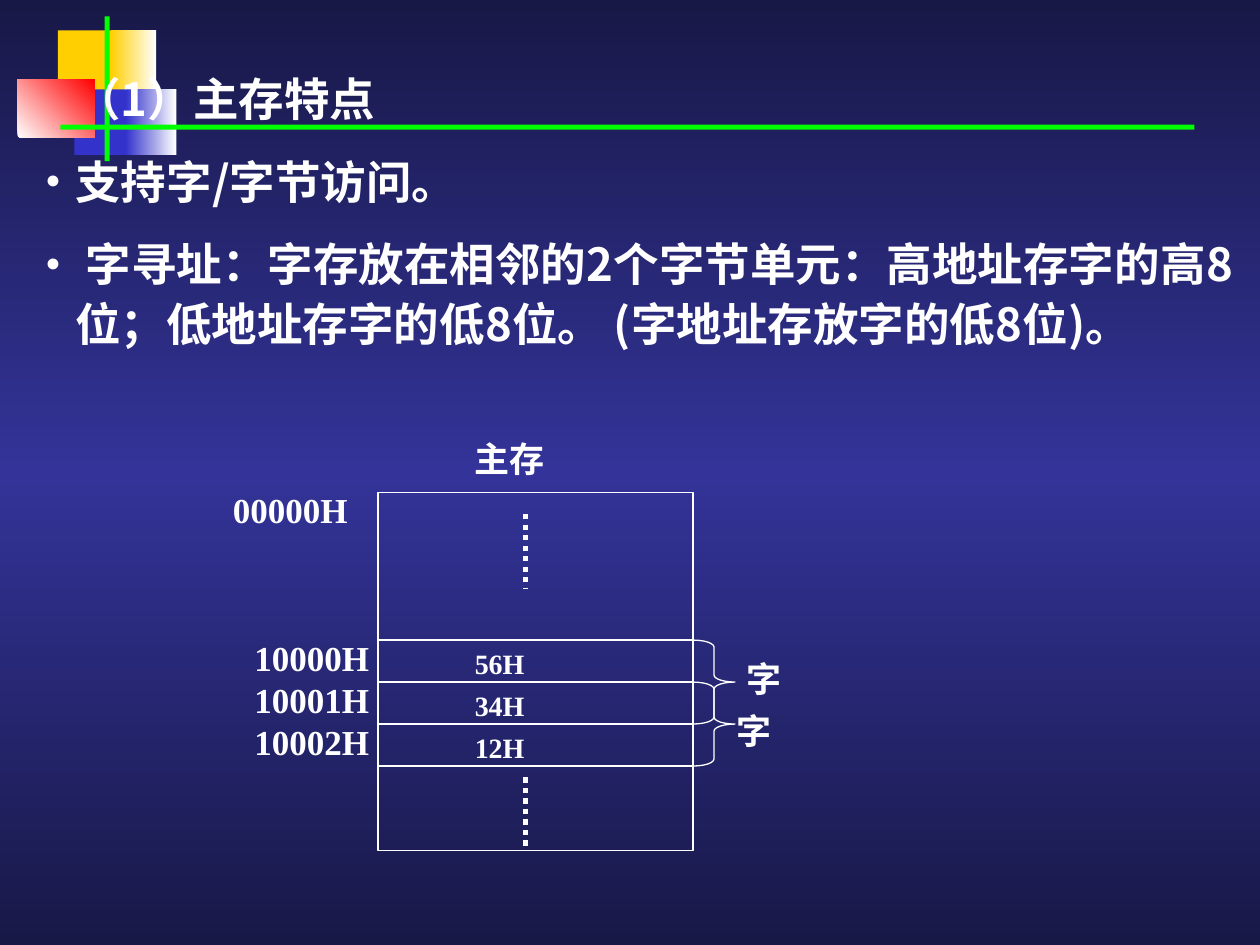
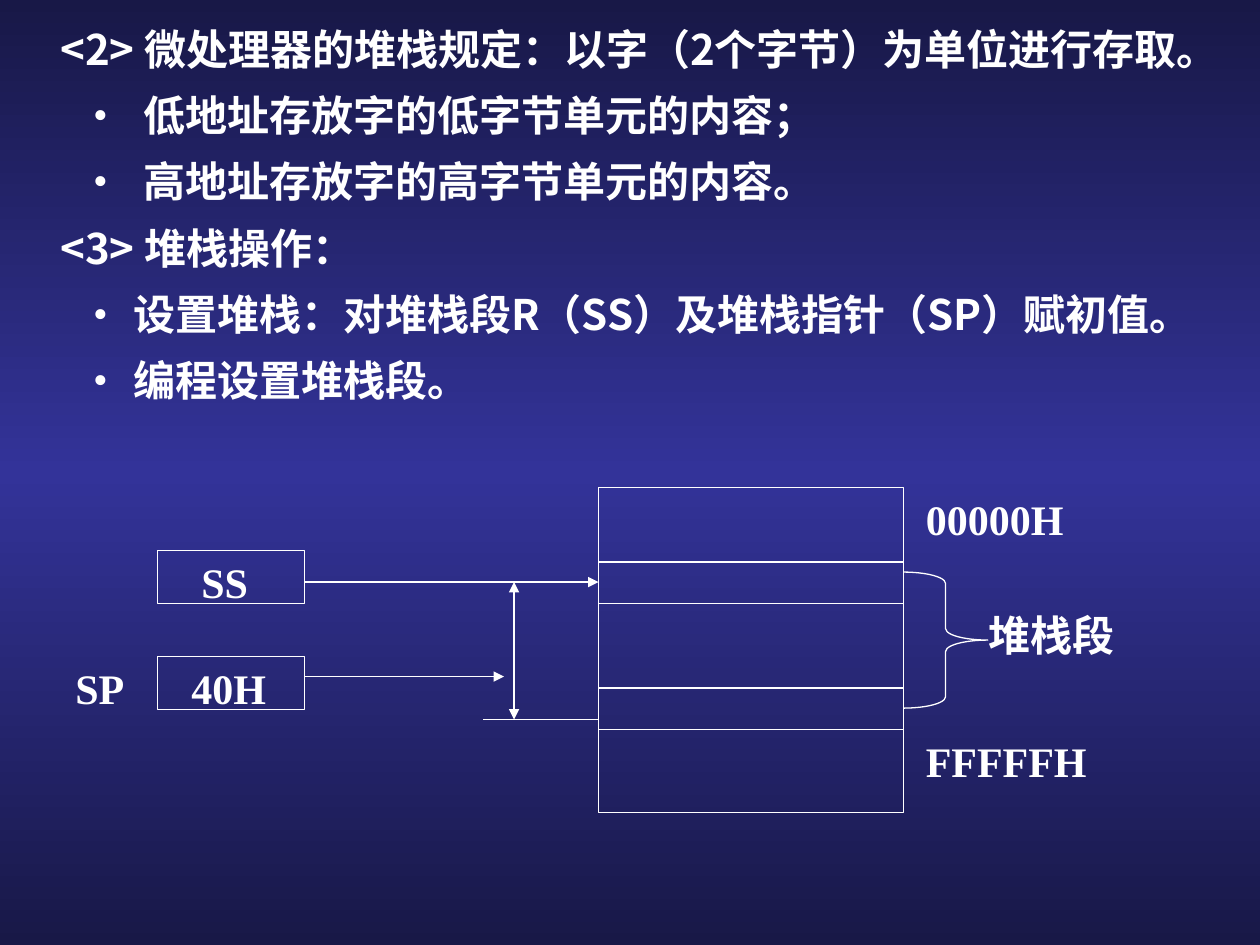
from lxml import etree
from pptx import Presentation
from pptx.dml.color import RGBColor
from pptx.enum import dml, shapes, text
from pptx.oxml.ns import qn
from pptx.util import Inches, Pt

WHITE = RGBColor(0xFF, 0xFF, 0xFF)
NIGHT = RGBColor(0x18, 0x18, 0x47)
INDIGO = RGBColor(0x33, 0x33, 0x99)
YELLOW = RGBColor(0xFF, 0xCF, 0x01)
BLUE = RGBColor(0x33, 0x33, 0xCC)
RED = RGBColor(0xFF, 0x00, 0x00)
GREEN = RGBColor(0x00, 0xFF, 0x00)
BODY_FONT = "Noto Sans CJK JP"
LABEL_FONT = "Times New Roman"
LINE_WIDTH = 0.75
ROW = 1 / 3


def set_gradient(fill, element, colours, angle=0):
    """Spread the colours evenly; the angle runs counter-clockwise."""
    fill.gradient()
    fill.gradient_angle = angle
    stops = element.find(".//" + qn("a:gsLst"))
    for stop in list(stops):
        stops.remove(stop)
    for index, colour in enumerate(colours):
        position = round(index * 100000 / (len(colours) - 1))
        stop = etree.SubElement(stops, qn("a:gs"), pos=str(position))
        etree.SubElement(stop, qn("a:srgbClr"), val=str(colour))


def add_slide(presentation):
    slide = presentation.slides.add_slide(presentation.slide_layouts[6])
    set_gradient(slide.background.fill, slide.element, [NIGHT, INDIGO, NIGHT], 90)
    return slide


def add_block(slide, left, top, width, height, colours, angle=0):
    """Add a borderless rectangle in one colour or a gradient."""
    shape = slide.shapes.add_shape(
        shapes.MSO_SHAPE.RECTANGLE, Inches(left), Inches(top), Inches(width), Inches(height))
    shape.shadow.inherit = False
    shape.line.fill.background()
    if len(colours) == 1:
        shape.fill.solid()
        shape.fill.fore_color.rgb = colours[0]
    else:
        set_gradient(shape.fill, shape.element, colours, angle)


def add_corner_ornament(slide):
    add_block(slide, 0.46, 0.24, 0.48, 0.52, [YELLOW])
    add_block(slide, 0.88, 0.24, 0.36, 0.52, [YELLOW, WHITE])
    add_block(slide, 0.59, 0.71, 0.46, 0.52, [BLUE])
    add_block(slide, 1, 0.71, 0.4, 0.52, [BLUE, WHITE])
    add_block(slide, 0.14, 0.63, 0.61, 0.46, [WHITE, RED], 45)
    add_block(slide, 0.83, 0.13, 0.04, 1.15, [GREEN])
    add_block(slide, 0.48, 0.99, 9, 0.04, [GREEN])


def add_outline(slide, left, top, width, height, kind=shapes.MSO_SHAPE.RECTANGLE):
    shape = slide.shapes.add_shape(
        kind, Inches(left), Inches(top), Inches(width), Inches(height))
    shape.shadow.inherit = False
    shape.fill.background()
    shape.line.color.rgb = WHITE
    shape.line.width = Pt(LINE_WIDTH)
    return shape


def add_brace(slide, left, top, width, height, curve):
    brace = add_outline(slide, left, top, width, height, shapes.MSO_SHAPE.RIGHT_BRACE)
    brace.adjustments[0] = curve
    brace.adjustments[1] = 0.5


def add_line(slide, start, end, width=LINE_WIDTH, dash=None, arrows=()):
    """Add a straight line; arrows names the ends, headEnd before tailEnd."""
    connector = slide.shapes.add_connector(
        shapes.MSO_CONNECTOR.STRAIGHT, *(Inches(value) for value in (*start, *end)))
    connector.line.color.rgb = WHITE
    connector.line.width = Pt(width)
    if dash:
        connector.line.dash_style = dash
    line = connector.element.find(".//" + qn("a:ln"))
    for arrow in arrows:
        etree.SubElement(line, qn("a:" + arrow), type="triangle")
    etree.SubElement(connector.element.spPr, qn("a:effectLst"))


def add_memory(slide, left, top, width, height, dividers):
    add_outline(slide, left, top, width, height)
    for y in dividers:
        add_line(slide, (left, y), (left + width, y))


def add_text_box(slide, left, top, width, height):
    frame = slide.shapes.add_textbox(
        Inches(left), Inches(top), Inches(width), Inches(height)).text_frame
    frame.word_wrap = True
    frame.auto_size = text.MSO_AUTO_SIZE.NONE
    return frame


def style_paragraph(paragraph, size, face):
    """Set the Latin face; Chinese characters always take the body font."""
    font = paragraph.font
    font.size = Pt(size)
    font.name = face
    font.bold = True
    font.color.rgb = WHITE
    default = paragraph._p.pPr.find(qn("a:defRPr"))
    etree.SubElement(default, qn("a:ea"), typeface=BODY_FONT)


def add_label(slide, wording, left, top, size):
    frame = add_text_box(slide, left, top, 1.6, 0.5)
    paragraph = frame.paragraphs[0]
    paragraph.text = wording
    style_paragraph(paragraph, size, LABEL_FONT)


def add_body(slide, box, size, spacing, items):
    """Fill a box with (wording, margin, hanging) items; hanging ones get a bullet."""
    frame = add_text_box(slide, *box)
    for index, (wording, margin, hanging) in enumerate(items):
        paragraph = frame.paragraphs[0] if index == 0 else frame.add_paragraph()
        paragraph.text = wording
        paragraph.line_spacing = spacing
        if index:
            paragraph.space_before = Pt(size / 2)
        properties = paragraph._p.get_or_add_pPr()
        properties.set("marL", str(Inches(margin)))
        properties.set("indent", str(Inches(-hanging)))
        if hanging:
            etree.SubElement(properties, qn("a:buFont"), typeface=LABEL_FONT)
            etree.SubElement(properties, qn("a:buChar"), char="•")
        style_paragraph(paragraph, size, BODY_FONT)


def build_main_memory(presentation):
    slide = add_slide(presentation)
    add_corner_ornament(slide)
    add_body(slide, (0, 0.47, 10, 2.46), 26, 1.1, [
        ("（1）主存特点", 0.5, 0),
        ("支持字/字节访问。", 0.5, 0.24),
        (" 字寻址：字存放在相邻的2个字节单元：高地址存字的高8位；"
         "低地址存字的低8位。 (字地址存放字的低8位)。", 0.5, 0.24),
    ])

    first_row = 5.08
    rows = [first_row + index * ROW for index in range(4)]
    add_memory(slide, 3, 3.91, 2.5, 2.84, rows)
    for top, bottom in ((6.17, 6.75), (4.08, 4.67)):
        add_line(slide, (4.17, top), (4.17, bottom), 3, dml.MSO_LINE.ROUND_DOT)
    for top in rows[:2]:
        add_brace(slide, 5.5, top, ROW, 2 * ROW, 0.167)

    add_label(slide, "主存", 3.67, 3.42, 20)
    add_label(slide, "00000H", 1.75, 3.83, 20)
    cells = [("10000H", "56H"), ("10001H", "34H"), ("10002H", "12H")]
    for top, (address, value) in zip(rows, cells):
        add_label(slide, address, 1.92, top - 0.08, 20)
        add_label(slide, value, 3.67, top, 16)
    add_label(slide, "字", 5.83, 5.17, 20)
    add_label(slide, "字", 5.75, 5.58, 20)


def build_stack(presentation):
    slide = add_slide(presentation)
    add_body(slide, (-0.12, 0.18, 10.35, 3.26), 24, 0.9, [
        ("<2> 微处理器的堆栈规定：以字（2个字节）为单位进行存取。", 0.5, 0),
        ("低地址存放字的低字节单元的内容；", 1.16, 0.4),
        ("高地址存放字的高字节单元的内容。", 1.16, 0.4),
        ("<3> 堆栈操作：", 0.5, 0),
        ("设置堆栈：对堆栈段R（SS）及堆栈指针（SP）赋初值。", 1.08, 0.32),
        ("编程设置堆栈段。", 1.08, 0.32),
    ])

    memory_left, segment_top, segment_bottom = 4.75, 4.62, 5.71
    add_memory(slide, memory_left, 3.87, 2.42, 2.58, [4.46, 4.79, 5.46, 5.79])
    add_brace(slide, 7.17, 4.54, 0.67, 1.08, 0.135)

    for wording, left, top in (("SS", 1.5, 4.37), ("40H", 1.42, 5.21)):
        add_outline(slide, 1.25, top, 1.17, 0.42)
        add_label(slide, wording, left, top, 24)
    add_label(slide, "SP", 0.5, 5.21, 24)

    add_line(slide, (memory_left, segment_bottom), (3.83, segment_bottom))
    add_line(slide, (2.42, segment_top), (memory_left, segment_top), arrows=["tailEnd"])
    add_line(slide, (2.42, 5.37), (4, 5.37), arrows=["tailEnd"])
    add_line(slide, (4.08, segment_top), (4.08, segment_bottom),
             arrows=["headEnd", "tailEnd"])

    add_label(slide, "00000H", 7.25, 3.87, 24)
    add_label(slide, "堆栈段", 7.75, 4.79, 24)
    add_label(slide, "FFFFFH", 7.25, 5.79, 24)


def main():
    presentation = Presentation()
    presentation.slide_width = Inches(10)
    presentation.slide_height = Inches(7.5)
    build_main_memory(presentation)
    build_stack(presentation)
    presentation.save("out.pptx")


if __name__ == "__main__":
    main()
